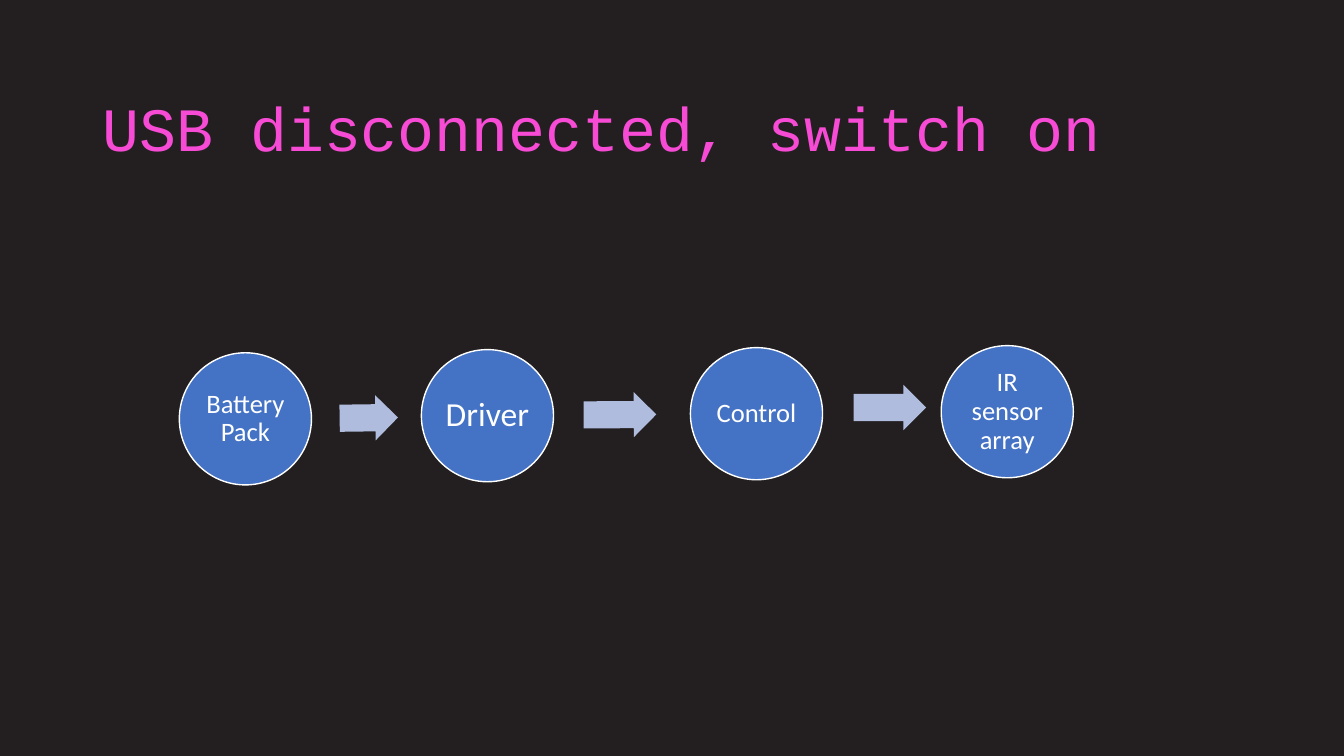
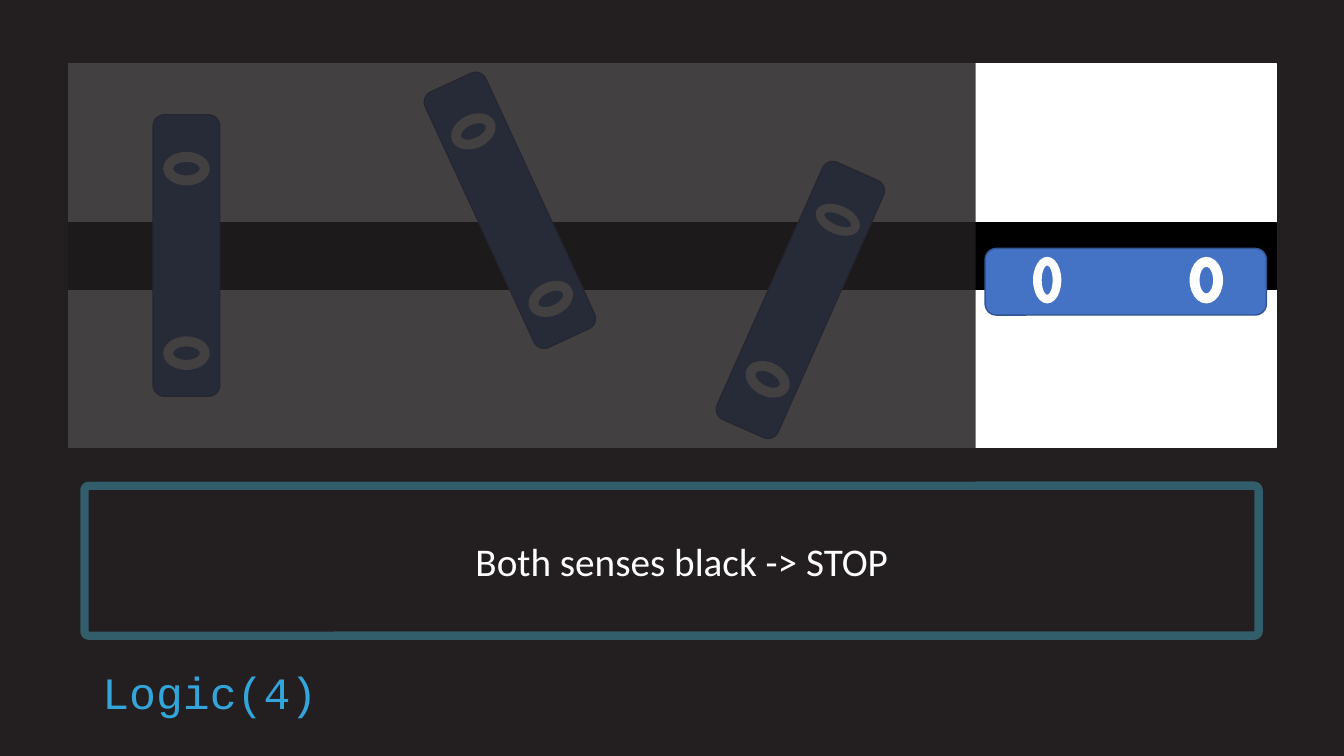
import math
import pptx
import pptx.util
import pptx.dml.color
import pptx.enum.shapes
import pptx.enum.text
import pptx.oxml.ns
from lxml import etree

Cm, Pt = pptx.util.Cm, pptx.util.Pt
RGBColor = pptx.dml.color.RGBColor
KIND = pptx.enum.shapes.MSO_SHAPE
ALIGN = pptx.enum.text.PP_ALIGN
MIDDLE = pptx.enum.text.MSO_ANCHOR.MIDDLE

# Colours
DARK = RGBColor(0x23, 0x1F, 0x20)
PINK = RGBColor(0xF7, 0x4B, 0xD6)
SKY = RGBColor(0x33, 0xA5, 0xDB)
BLUE = RGBColor(0x44, 0x72, 0xC4)
NAVY = RGBColor(0x32, 0x54, 0x91)
PALE = RGBColor(0xB0, 0xBC, 0xDE)
TEAL = RGBColor(0x32, 0x5D, 0x6B)
WHITE = RGBColor(0xFF, 0xFF, 0xFF)
BLACK = RGBColor(0, 0, 0)

# Power chain, in cm: text, size, left, top
NODES = [
    ("Battery Pack", 19, 4.52, 8.89),
    ("Driver", 24, 10.62, 8.81),
    ("Control", 19, 17.4, 8.76),
    ("IR sensor array", 19, 23.72, 8.71),
]
# Left, top, width, turn
ARROWS = [
    (8.56, 9.96, 1.47, -0.8),
    (14.71, 9.88, 1.83, -0.4),
    (21.51, 9.7, 1.83, 0),
]
NODE, ARROW = 3.33, 1.14

# Sensor bars: centre x, centre y, turn, and two eyes
# Each eye: offset across the bar, offset along it, height, extra turn
EYES = [(0, -2.19, 0.79, 0), (0, 2.46, 0.79, 0)]
PAST = [
    (4.7, 6.44, 0, EYES),
    (12.85, 5.3, -24.8, EYES),
    (20.17, 7.56, 24, [(0.04, -2.23, 0.66, -0.4), (0.06, 2.16, 0.79, 3.5)]),
]
NOW = (28.37, 7.1, 90, [(-0.04, -2.03, 0.79, 0), (-0.04, 1.98, 0.66, 0)])
BAR, EYE = (1.68, 7.09), 1.12


def write(shape, text, size, color, font="Calibri", align=ALIGN.CENTER):
    frame = shape.text_frame
    frame.word_wrap = True
    frame.vertical_anchor = MIDDLE
    frame.text = text
    para = frame.paragraphs[0]
    para.alignment = align
    style = para.runs[0].font
    style.name, style.size, style.color.rgb = font, Pt(size), color
    return para


def draw(slide, kind, box, fill=None, line=None, width=1, turn=0):
    shape = slide.shapes.add_shape(kind, *map(Cm, box))
    shape.shadow.inherit = False
    shape.rotation = turn
    for part, color in ((shape.fill, fill), (shape.line.fill, line)):
        if color is None:
            part.background()
        else:
            part.solid()
            part.fore_color.rgb = color
    if line is not None:
        shape.line.width = Pt(width)
    return shape


def start(deck, title, top, size, color):
    slide = deck.slides.add_slide(deck.slide_layouts[6])
    slide.background.fill.solid()
    slide.background.fill.fore_color.rgb = DARK
    box = slide.shapes.add_textbox(Cm(2.33), Cm(top), Cm(29.21), Cm(3.05))
    para = write(box, title, size, color, "Courier New", ALIGN.LEFT)
    para.line_spacing = 0.9
    return slide


def centred(x, y, wide, high):
    return x - wide / 2, y - high / 2, wide, high


def sensor(slide, x, y, turn, eyes):
    draw(slide, KIND.ROUNDED_RECTANGLE, centred(x, y, *BAR), BLUE, NAVY,
         turn=turn)
    sin, cos = math.sin(math.radians(turn)), math.cos(math.radians(turn))
    for across, along, high, extra in eyes:
        mid_x = x + across * cos - along * sin
        mid_y = y + across * sin + along * cos
        draw(slide, KIND.DONUT, centred(mid_x, mid_y, EYE, high),
             WHITE, WHITE, 1.5, turn + extra)


def power(deck):
    slide = start(deck, "USB disconnected, switch on", 1.8, 44, PINK)
    for left, top, wide, turn in ARROWS:
        arrow = draw(slide, KIND.RIGHT_ARROW, (left, top, wide, ARROW), PALE,
                     turn=turn)
        arrow.adjustments[0] = 0.6
    for text, size, left, top in NODES:
        node = draw(slide, KIND.OVAL, (left, top, NODE, NODE), BLUE, WHITE)
        frame = node.text_frame
        frame.margin_left = frame.margin_right = Cm(0.08)
        frame.margin_top = frame.margin_bottom = Cm(0.08)
        write(node, text, size, WHITE).line_spacing = 0.9


def logic(deck):
    slide = start(deck, "Logic(4)", 16, 32, SKY)
    # Floor and track
    draw(slide, KIND.RECTANGLE, (1.73, 1.6, 30.43, 9.68), WHITE, WHITE)
    draw(slide, KIND.RECTANGLE, (1.73, 5.61, 30.43, 1.68), BLACK, BLACK)
    # Earlier cases, dimmed by a veil
    for case in PAST:
        sensor(slide, *case)
    rule = draw(slide, KIND.ROUNDED_RECTANGLE, (2.13, 12.24, 29.59, 3.78),
                None, TEAL, 6)
    rule.adjustments[0] = 0.03
    para = write(rule, "Both senses black -> STOP", 28, WHITE)
    para._p.get_or_add_pPr().set("marL", str(Cm(0.51)))
    veil = draw(slide, KIND.RECTANGLE, (1.07, 1.37, 23.52, 10.77), DARK)
    qn = pptx.oxml.ns.qn
    tint = veil.fill._xPr.find(qn("a:solidFill"))[0]
    etree.SubElement(tint, qn("a:alpha")).set("val", "85000")
    # Current case
    sensor(slide, *NOW)


def main():
    deck = pptx.Presentation()
    deck.slide_width, deck.slide_height = Cm(33.87), Cm(19.05)
    power(deck)
    logic(deck)
    deck.save("out.pptx")


if __name__ == "__main__":
    main()
